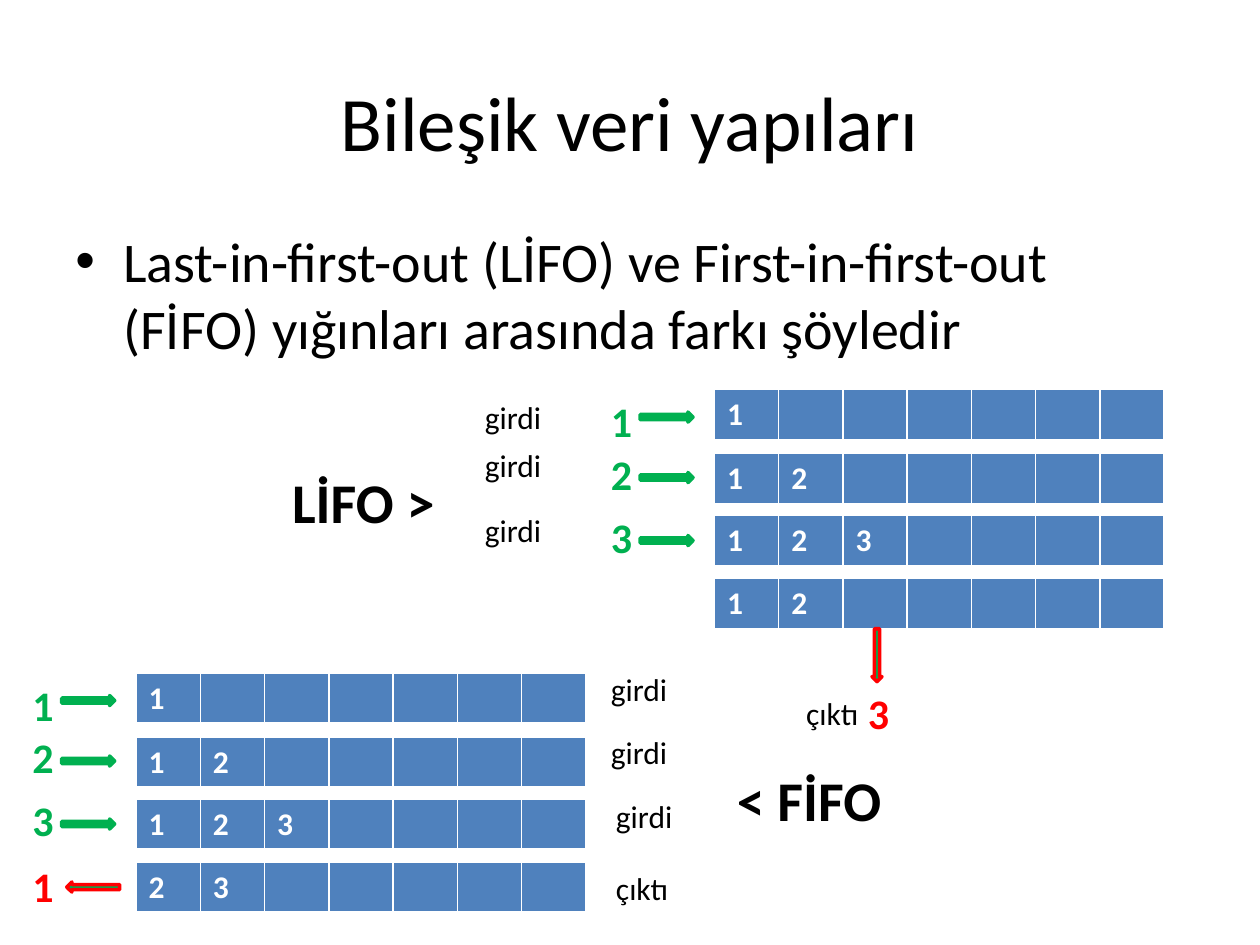
from dataclasses import dataclass

from lxml.etree import SubElement
from pptx import Presentation
from pptx.dml.color import RGBColor
from pptx.enum.shapes import MSO_SHAPE
from pptx.enum.text import MSO_ANCHOR, MSO_AUTO_SIZE, PP_ALIGN
from pptx.oxml.ns import qn
from pptx.util import Inches, Pt


@dataclass(frozen=True)
class Theme:
    font: str = "Calibri"
    black: str = "000000"
    white: str = "FFFFFF"
    blue: str = "4F81BD"
    green: str = "00B050"
    red: str = "FF0000"
    title: int = 44
    heading: int = 32
    number: int = 24
    label: int = 18


THEME = Theme()
CELLS = 7
CELL_WIDTH, CELL_HEIGHT = 0.51, 0.41
ARROW_LENGTH, ARROW_HEIGHT = 0.42, 0.08
# Distances below the top of a stack
ROW_OFFSETS = (0, 0.51, 1, 1.5)
NUMBER_OFFSETS = (0, 0.42, 0.92)
ARROW_OFFSETS = (0.18, 0.66, 1.16)


def style_font(paragraph, size, color, bold):
    font = paragraph.font
    font.name = THEME.font
    font.size = Pt(size)
    font.bold = bold
    font.color.rgb = RGBColor.from_string(color)


def add_bullet(paragraph, indent):
    properties = paragraph._p.get_or_add_pPr()
    properties.set("marL", str(Inches(indent)))
    properties.set("indent", str(-Inches(indent)))
    SubElement(properties, qn("a:buFont")).set("typeface", "Arial")
    SubElement(properties, qn("a:buChar")).set("char", "•")


def add_text(slide, text, left, top, width, height, *, size=THEME.label,
             color=THEME.black, bold=False, wrap=False, align=PP_ALIGN.LEFT,
             anchor=MSO_ANCHOR.TOP, bullet_indent=None):
    box = slide.shapes.add_textbox(Inches(left), Inches(top), Inches(width), Inches(height))
    frame = box.text_frame
    frame.word_wrap = wrap
    frame.auto_size = MSO_AUTO_SIZE.NONE if wrap else MSO_AUTO_SIZE.SHAPE_TO_FIT_TEXT
    frame.vertical_anchor = anchor
    paragraph = frame.paragraphs[0]
    paragraph.text = text
    paragraph.alignment = align
    if bullet_indent is not None:
        add_bullet(paragraph, bullet_indent)
    style_font(paragraph, size, color, bold)


def add_number(slide, text, left, top, color=THEME.green):
    add_text(slide, text, left, top, 0.37, 0.5, size=THEME.number, color=color, bold=True)


def add_label(slide, text, left, top):
    add_text(slide, text, left, top, 0.65, 0.4)


def add_arrow(slide, left, top, *, outline=THEME.green, rotation=0):
    arrow = slide.shapes.add_shape(MSO_SHAPE.RIGHT_ARROW, Inches(left), Inches(top),
                                   Inches(ARROW_LENGTH), Inches(ARROW_HEIGHT))
    arrow.shadow.inherit = False
    arrow.rotation = rotation
    arrow.fill.solid()
    arrow.fill.fore_color.rgb = RGBColor.from_string(THEME.green)
    arrow.line.color.rgb = RGBColor.from_string(outline)
    arrow.line.width = Pt(2)


def add_cell_borders(cell):
    """Draw white edges, with a thicker one at the bottom."""
    properties = cell._tc.get_or_add_tcPr()
    for position, (side, width) in enumerate((("L", 1), ("R", 1), ("T", 1), ("B", 3))):
        line = SubElement(properties, qn(f"a:ln{side}"), w=str(Pt(width)))
        fill = SubElement(line, qn("a:solidFill"))
        SubElement(fill, qn("a:srgbClr"), val=THEME.white)
        properties.insert(position, line)


def add_memory_row(slide, values, left, top):
    table = slide.shapes.add_table(1, CELLS, Inches(left), Inches(top),
                                   Inches(CELLS * CELL_WIDTH), Inches(CELL_HEIGHT)).table
    table.horz_banding = False
    for column in table.columns:
        column.width = Inches(CELL_WIDTH)
    for index, cell in enumerate(table.rows[0].cells):
        cell.fill.solid()
        cell.fill.fore_color.rgb = RGBColor.from_string(THEME.blue)
        add_cell_borders(cell)
        paragraph = cell.text_frame.paragraphs[0]
        paragraph.text = values[index] if index < len(values) else ""
        style_font(paragraph, THEME.label, THEME.white, True)


def add_stack(slide, rows, left, top):
    """Draw the states of a stack and the three numbers that enter it."""
    for values, offset in zip(rows, ROW_OFFSETS):
        add_memory_row(slide, values, left, top + offset)
    for number, offset in zip("123", NUMBER_OFFSETS):
        add_number(slide, number, left - 0.92, top + offset)
    for offset in ARROW_OFFSETS:
        add_arrow(slide, left - 0.59, top + offset)


def main():
    presentation = Presentation()
    presentation.slide_width = Inches(10)
    presentation.slide_height = Inches(7.5)
    slide = presentation.slides.add_slide(presentation.slide_layouts[6])

    add_text(slide, "Bileşik veri yapıları", 0.5, 0.33, 9, 1.25, size=THEME.title,
             wrap=True, align=PP_ALIGN.CENTER, anchor=MSO_ANCHOR.MIDDLE)
    add_text(slide, "Last-in-first-out (LİFO) ve First-in-first-out (FİFO) "
             "yığınları arasında farkı şöyledir", 0.5, 1.75, 9, 1.25,
             size=THEME.heading, wrap=True, bullet_indent=0.38)

    add_stack(slide, ("1", "12", "123", "12"), 5.67, 3.09)
    add_arrow(slide, 6.75, 5.16, outline=THEME.red, rotation=90)
    add_number(slide, "3", 6.79, 5.41, THEME.red)
    add_stack(slide, ("1", "12", "123", "23"), 1.08, 5.34)
    add_arrow(slide, 0.53, 7, outline=THEME.red, rotation=180)
    add_number(slide, "1", 0.16, 6.78, THEME.red)

    for text, left, top in (("LİFO >", 2.22, 3.66), ("< FİFO", 5.75, 6.03)):
        add_text(slide, text, left, top, 1.37, 0.64, size=THEME.heading, bold=True)
    for left, top in ((3.75, 3.11), (3.75, 3.49), (3.75, 4.01),
                      (4.75, 5.27), (4.75, 5.77), (4.79, 6.28)):
        add_label(slide, "girdi", left, top)
    for left, top in ((6.3, 5.46), (4.79, 6.85)):
        add_label(slide, "çıktı", left, top)

    presentation.save("out.pptx")


if __name__ == "__main__":
    main()
